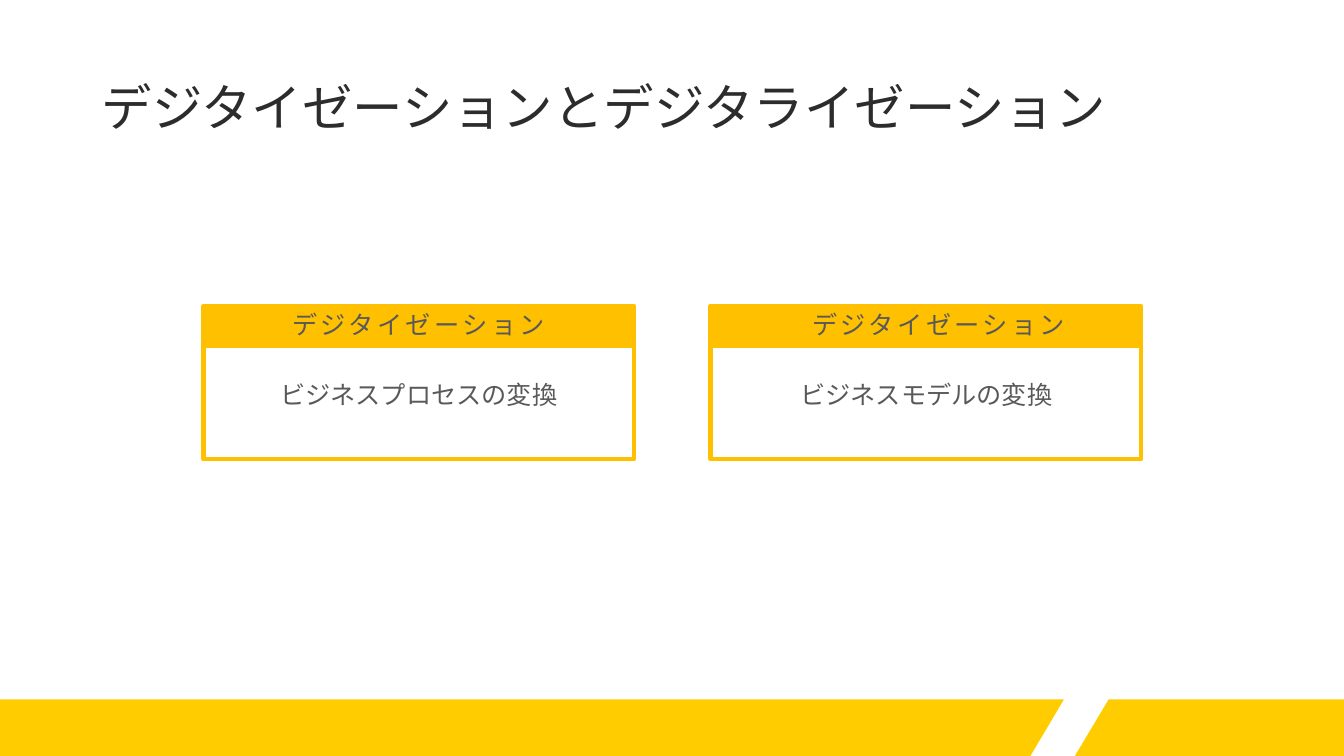
from dataclasses import dataclass

from pptx import Presentation
from pptx.dml.color import RGBColor as Rgb
from pptx.enum.shapes import MSO_SHAPE as Shape
from pptx.enum.text import MSO_ANCHOR as Anchor, MSO_AUTO_SIZE as Auto, PP_ALIGN as Align
from pptx.oxml import parse_xml as to_xml
from pptx.oxml.ns import nsdecls
from pptx.util import Pt

HUE = {"band": "FFCC00", "card": "FFC000", "title": "2C2C2C", "text": "595959"}
SANS_JP, SANS_TC = "Noto Sans CJK JP", "Noto Sans CJK TC"
WIDE, HIGH = 960, 540
BAND_TOP = 499.5
CARD_TOP, CARD_WIDE, HEAD_HIGH, BODY_HIGH = 218.4, 307.4, 29, 80.6
FRAME = {"margin_left": 0, "margin_top": Pt(1), "margin_right": 0,
         "margin_bottom": 0, "word_wrap": True,
         "vertical_anchor": Anchor.TOP, "auto_size": Auto.SHAPE_TO_FIT_TEXT}


@dataclass
class Line:
    text: str
    font: str
    size: float = 18
    hue: str = "text"
    space: float = 0
    before: float = 0
    left: float = 0
    align: Align = Align.CENTER


@dataclass
class Card:
    left: float
    lines: list[Line]


def apply(item, form: dict) -> None:
    for name, value in form.items():
        setattr(item, name, value)


def place(item, left: float, top: float, wide: float, high: float) -> None:
    apply(item, {"left": Pt(left), "top": Pt(top), "width": Pt(wide), "height": Pt(high)})


def write(frame, lines: list[Line]) -> None:
    apply(frame, FRAME)
    for i, line in enumerate(lines):
        para = frame.add_paragraph() if i else frame.paragraphs[0]
        apply(para, {"alignment": line.align, "space_before": Pt(line.before),
                     "line_spacing": 1.0})
        props = para._p.get_or_add_pPr()
        props.set("marL", str(Pt(line.left)))
        props.set("indent", "0")
        run = para.add_run()
        run.text = line.text
        apply(run.font, {"size": Pt(line.size), "name": line.font, "bold": False})
        run.font.color.rgb = Rgb.from_string(HUE[line.hue])
        # Letter spacing and the East Asian font
        mark = run._r.get_or_add_rPr()
        mark.set("spc", str(round(line.space * 100)))
        mark.append(to_xml(f'<a:ea {nsdecls("a")} typeface="{line.font}"/>'))


def paint(shape, fill: str | None, edge: str | None) -> None:
    shape.shadow.inherit = False
    if fill:
        shape.fill.solid()
        shape.fill.fore_color.rgb = Rgb.from_string(HUE[fill])
    else:
        shape.fill.background()
    if edge:
        shape.line.width = Pt(3)
        shape.line.color.rgb = Rgb.from_string(HUE[edge])
    else:
        shape.line.fill.background()


def draw_band(slide, spots: list[tuple[float, float]]) -> None:
    first, *rest = [(Pt(x), Pt(y)) for x, y in spots]
    build = slide.shapes.build_freeform(*first)
    build.add_line_segments(rest, close=True)
    paint(build.convert_to_shape(), "band", None)


def draw_card(slide, card: Card) -> None:
    parts = [(CARD_TOP, HEAD_HIGH, "card"), (CARD_TOP + HEAD_HIGH, BODY_HIGH, None)]
    for top, high, fill in parts:
        box = slide.shapes.add_shape(Shape.RECTANGLE, Pt(card.left), Pt(top),
                                     Pt(CARD_WIDE), Pt(high))
        paint(box, fill, "card")
    label = slide.shapes.add_textbox(Pt(card.left), Pt(220.3), Pt(CARD_WIDE), Pt(80))
    write(label.text_frame, card.lines)


CARDS = [
    Card(145.4, [Line("デジタイゼーション", SANS_JP, space=2.4, before=1),
                 Line("ビジネスプロセスの変換", SANS_TC, before=28.3)]),
    Card(507.6, [Line("デジタイゼーション", SANS_JP, space=2.4, before=1,
                      left=72.7, align=Align.LEFT),
                 Line("ビジネスモデルの変換", SANS_TC, before=28.3,
                      left=64.1, align=Align.LEFT)]),
]


def main() -> None:
    deck = Presentation()
    apply(deck, {"slide_width": Pt(WIDE), "slide_height": Pt(HIGH)})
    slide = deck.slides.add_slide(deck.slide_layouts[5])

    # Bottom band, split by a slanted gap
    draw_band(slide, [(WIDE, BAND_TOP), (792, BAND_TOP), (767.8, HIGH), (WIDE, HIGH)])
    draw_band(slide, [(0, BAND_TOP), (0, HIGH), (736, HIGH), (760, BAND_TOP)])

    # Title
    title = slide.shapes.title
    place(title, 72, 53.3, 722, 45.4)
    write(title.text_frame, [Line("デジタイゼーションとデジタライゼーション", SANS_TC, 36,
                                  "title", before=1, left=0.7, align=Align.LEFT)])

    # Cards
    for card in CARDS:
        draw_card(slide, card)

    deck.save("out.pptx")


if __name__ == "__main__":
    main()
